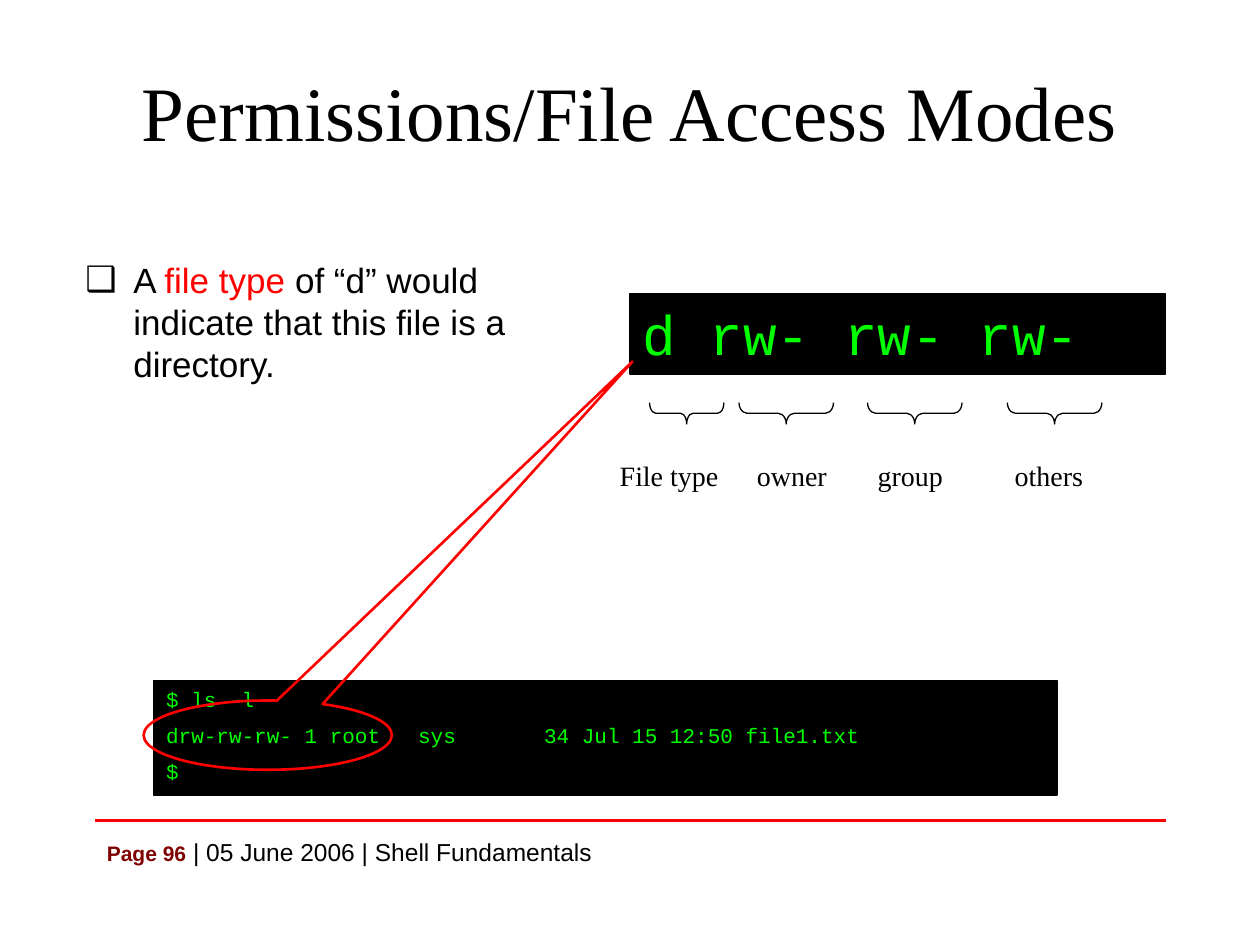
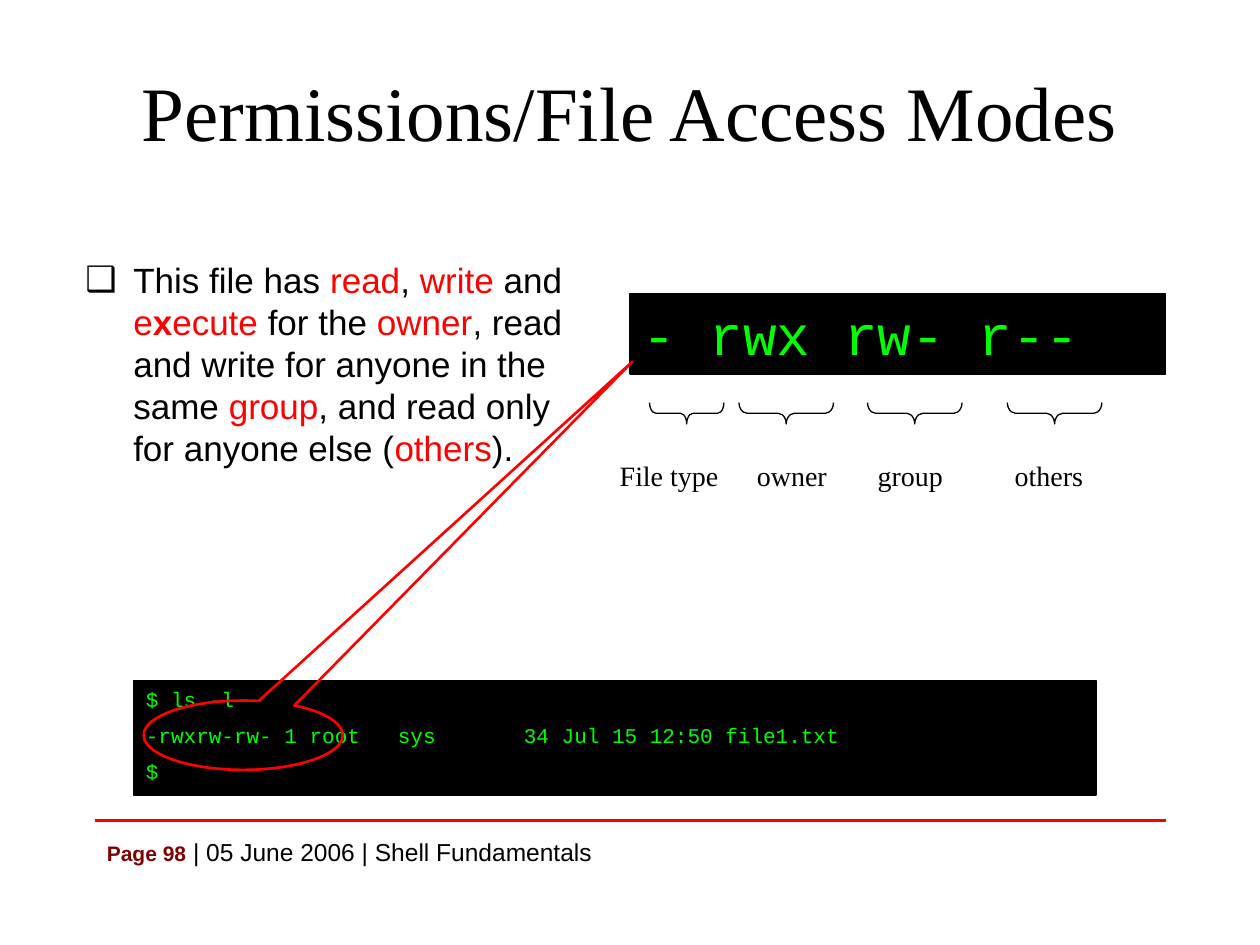
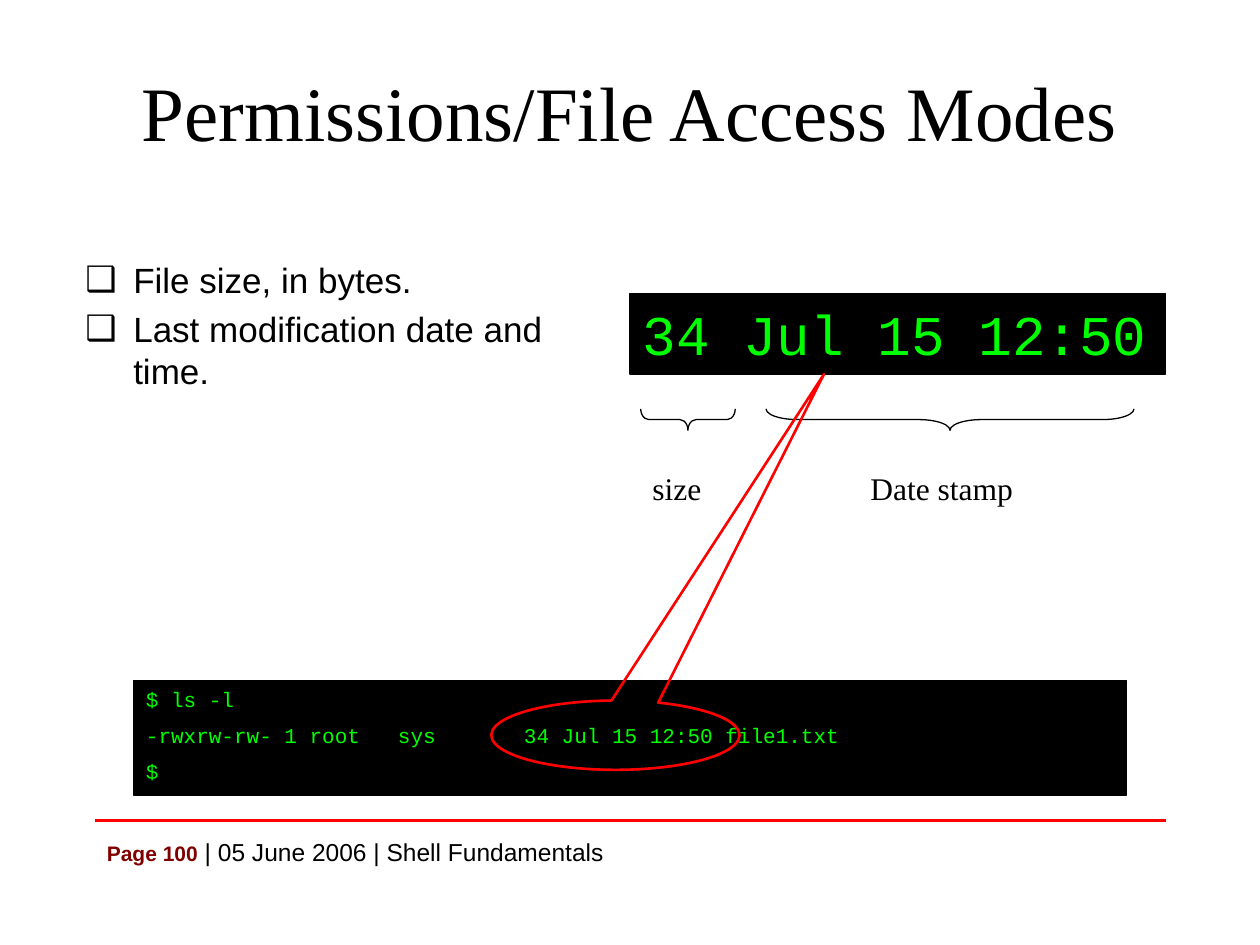
from lxml import etree
from pptx import Presentation
from pptx.dml.color import RGBColor
from pptx.enum.shapes import MSO_CONNECTOR, MSO_SHAPE
from pptx.enum.text import MSO_ANCHOR, MSO_AUTO_SIZE, PP_ALIGN
from pptx.oxml.ns import qn
from pptx.util import Inches, Pt

BLACK, RED, GREEN, MAROON = "000000", "FF0000", "00FF00", "800000"
SANS, MONO, SERIF = "Arial", "Courier New", "Times New Roman"
TITLE = "Permissions/File Access Modes"
FOOTER = " | 05 June 2006 | Shell Fundamentals"
LEFT, WIDTH = 0.75, 8.5
BRACE_DEPTH = 0.17
TAB_STOPS = [2, 3]
FIELDS = [("File type", 5.45, 0.59, 4.76, 1.1), ("owner", 6.24, 0.75, 5.87, 0.83),
          ("group", 7.26, 0.75, 6.81, 0.83), ("others", 8.37, 0.75, 7.91, 0.83)]
SIZE_AND_DATE = [("size", 5.46, 0.75, 5.08, 0.83),
                 ("Date stamp", 7.54, 2.92, 6.81, 1.5)]


def rgb(color):
    return RGBColor.from_string(color)


def box(*lengths):
    return [Inches(n) for n in lengths]


def add_run(p, text, size, font, color=BLACK, bold=False):
    r = p.add_run()
    r.text = text
    r.font.size = Pt(size)
    r.font.name = font
    r.font.bold = bold
    r.font.color.rgb = rgb(color)


def space_before(p, percent):
    spc = etree.SubElement(p._p.get_or_add_pPr(), qn("a:spcBef"))
    etree.SubElement(spc, qn("a:spcPct")).set("val", str(percent * 1000))


def add_bullet(p):
    pPr = p._p.get_or_add_pPr()
    pPr.set("marL", str(Inches(0.38)))
    pPr.set("indent", str(Inches(-0.38)))
    etree.SubElement(pPr, qn("a:buFont")).set("typeface", SANS)
    etree.SubElement(pPr, qn("a:buChar")).set("char", "❑")


def add_tab_stops(p):
    tabs = etree.SubElement(p._p.get_or_add_pPr(), qn("a:tabLst"))
    for stop in TAB_STOPS:
        tab = etree.SubElement(tabs, qn("a:tab"))
        tab.set("pos", str(Inches(stop)))
        tab.set("algn", "l")


def add_text(slide, x, y, w, h):
    tf = slide.shapes.add_textbox(*box(x, y, w, h)).text_frame
    tf.word_wrap = True
    return tf


def next_paragraph(tf, i):
    return tf.add_paragraph() if i else tf.paragraphs[0]


def add_outline(slide, kind, x, y, w, h, color, width):
    sp = slide.shapes.add_shape(kind, *box(x, y, w, h))
    sp.shadow.inherit = False
    sp.fill.background()
    sp.line.color.rgb = rgb(color)
    sp.line.width = Pt(width)
    return sp


def add_frame(slide, page):
    rule = slide.shapes.add_connector(
        MSO_CONNECTOR.STRAIGHT, *box(LEFT, 6.51, LEFT + WIDTH, 6.51))
    rule.line.color.rgb = rgb(RED)
    rule.line.width = Pt(1.5)
    etree.SubElement(rule._element.spPr, qn("a:effectLst"))

    p = add_text(slide, LEFT, 6.59, WIDTH, 0.55).paragraphs[0]
    add_run(p, f"Page {page}", 12, SANS, MAROON, True)
    add_run(p, FOOTER, 14, SANS)

    tf = add_text(slide, LEFT, 0.52, WIDTH, 0.72)
    tf.vertical_anchor = MSO_ANCHOR.MIDDLE
    p = tf.paragraphs[0]
    p.alignment = PP_ALIGN.CENTER
    add_run(p, TITLE, 44, SERIF)


def add_bullets(slide, bullets):
    tf = add_text(slide, 0.58, 2, 4.17, 1.75)
    for i, runs in enumerate(bullets):
        p = next_paragraph(tf, i)
        space_before(p, 20)
        add_bullet(p)
        for text, *style in runs:
            add_run(p, text, 20, SANS, *style)


def add_terminal(slide, x, y, w, h, size, lines):
    sp = add_outline(slide, MSO_SHAPE.RECTANGLE, x, y, w, h, BLACK, 0.75)
    sp.fill.solid()
    sp.fill.fore_color.rgb = rgb(BLACK)
    tf = sp.text_frame
    tf.word_wrap = True
    tf.auto_size = MSO_AUTO_SIZE.SHAPE_TO_FIT_TEXT
    tf.vertical_anchor = MSO_ANCHOR.TOP
    for i, line in enumerate(lines):
        p = next_paragraph(tf, i)
        p.alignment = PP_ALIGN.LEFT
        space_before(p, 50)
        add_tab_stops(p)
        add_run(p, line, size, MONO, GREEN)


def add_terminals(slide, x, w, mode, detail):
    listing = f"{mode} 1 root\tsys\t34 Jul 15 12:50 file1.txt"
    add_terminal(slide, x, 5.4, w, 0.91, 12, ["$ ls -l", listing, "$"])
    add_terminal(slide, 5, 2.33, 4.25, 0.64, 32, [detail])


def add_callout(slide, x, w, tip_x, tip_y):
    y, h = 5.56, 0.55
    sp = add_outline(slide, MSO_SHAPE.OVAL_CALLOUT, x, y, w, h, RED, 1.5)
    sp._element.spPr.xfrm.set("flipV", "1")
    sp.adjustments[0] = (tip_x - x - w / 2) / w
    sp.adjustments[1] = (y + h / 2 - tip_y) / h


def add_brace(slide, cx, cy, span):
    sp = add_outline(slide, MSO_SHAPE.LEFT_BRACE, cx - BRACE_DEPTH / 2, cy - span / 2,
                     BRACE_DEPTH, span, BLACK, 0.75)
    sp.rotation = 270
    sp.adjustments[0] = span / 2
    sp.adjustments[1] = 0.5


def add_label(slide, text, x, y, w, h, size, align):
    tf = add_text(slide, x, y, w, h)
    tf.auto_size = MSO_AUTO_SIZE.SHAPE_TO_FIT_TEXT
    p = tf.paragraphs[0]
    p.alignment = align
    space_before(p, 50)
    add_run(p, text, size, SERIF)


def add_braced_labels(slide, labels, brace_y, y, h, size, align):
    for text, cx, span, x, w in labels:
        add_brace(slide, cx, brace_y, span)
        add_label(slide, text, x, y, w, h, size, align)


def add_fields(slide):
    add_braced_labels(slide, FIELDS, 3.28, 3.59, 0.37, 16, PP_ALIGN.CENTER)


def add_slide(prs, page, bullets):
    slide = prs.slides.add_slide(prs.slide_layouts[6])
    add_frame(slide, page)
    add_bullets(slide, bullets)
    return slide


def main():
    prs = Presentation()
    prs.slide_width, prs.slide_height = box(10, 7.5)

    slide = add_slide(prs, 96, [[
        ("A ",), ("file type", RED),
        (" of “d” would indicate that this file is a directory.",)]])
    add_terminals(slide, 1.22, 7.17, "drw-rw-rw-", "d rw- rw- rw-")
    add_callout(slide, 1.14, 1.97, 5.02, 2.87)
    add_fields(slide)

    slide = add_slide(prs, 98, [[
        ("This file has ",), ("read", RED), (", ",), ("write", RED), (" and ",),
        ("e", RED), ("x", RED, True), ("ecute", RED), (" for the ",), ("owner", RED),
        (", read and write for anyone in the same ",), ("group", RED),
        (", and read only for anyone else (",), ("others", RED), (").",)]])
    add_terminals(slide, 1.06, 7.64, "-rwxrw-rw-", "- rwx rw- r--")
    add_callout(slide, 1.14, 1.58, 5.02, 2.87)
    add_fields(slide)

    slide = add_slide(prs, 100, [[("File size, in bytes.",)],
                                 [("Last modification date and time.",)]])
    add_terminals(slide, 1.06, 7.88, "-rwxrw-rw-", "34 Jul 15 12:50")
    add_braced_labels(slide, SIZE_AND_DATE, 3.33, 3.67, 0.4, 18, PP_ALIGN.LEFT)
    add_callout(slide, 3.9, 1.97, 6.54, 2.97)

    prs.save("out.pptx")


if __name__ == "__main__":
    main()
